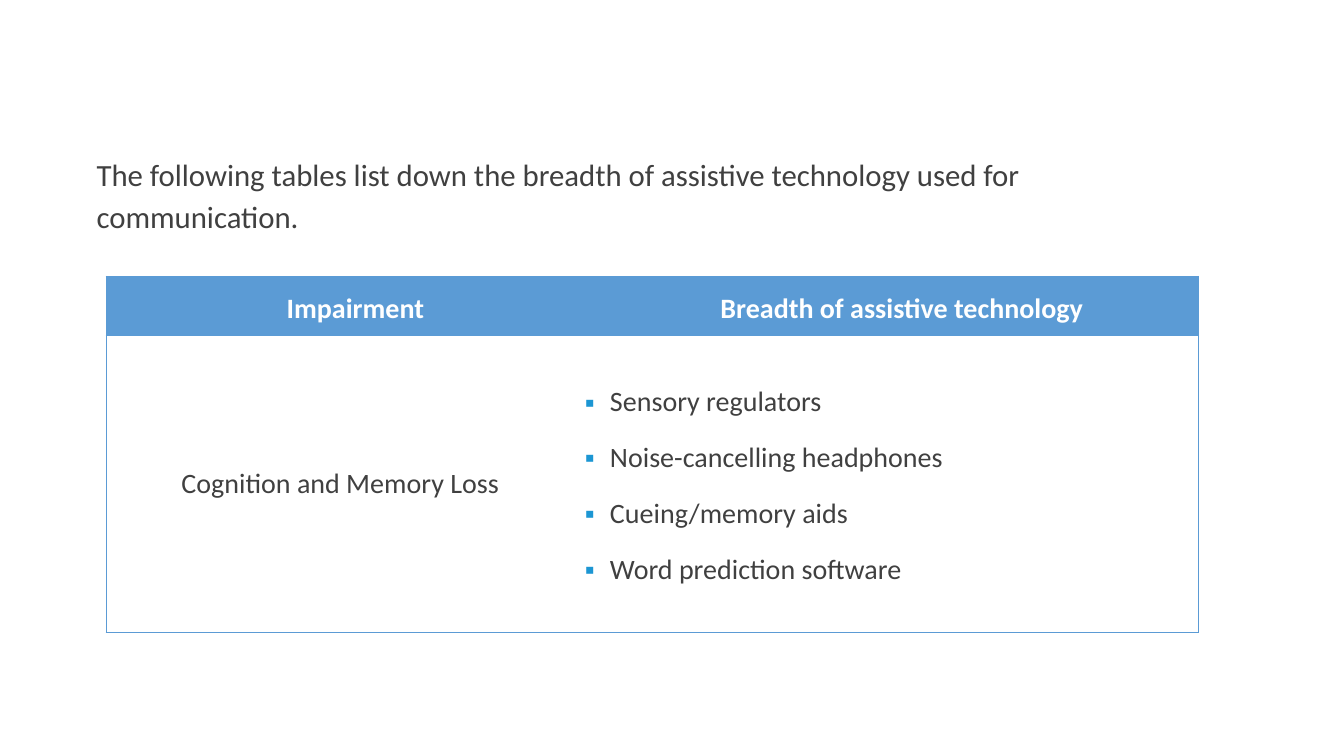
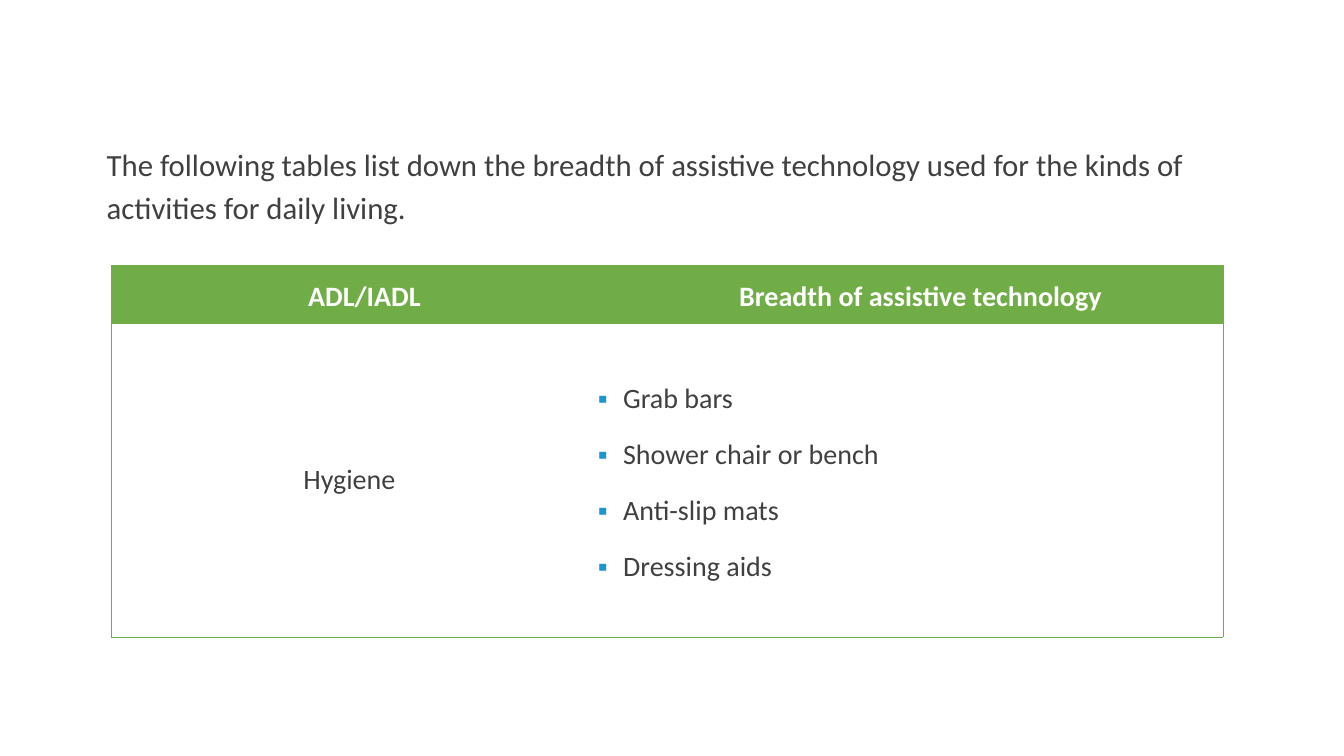
from lxml.etree import SubElement
from pptx import Presentation
from pptx.dml.color import RGBColor
from pptx.enum.text import MSO_ANCHOR, PP_ALIGN
from pptx.oxml.ns import qn
from pptx.util import Emu, Pt

PX = 9144  # 100 px to the inch
FONT = "Calibri"
COLORS = {"text": "404040", "white": "FFFFFF", "bullet": "1C96D3",
          "blue": "5B9BD5", "green": "70AD47"}

SLIDES = [
    {
        "intro": "The following tables list down the breadth of assistive "
                 "technology used for communication.",
        "intro_at": (86, 144),
        "table_at": (105, 274),
        "columns": (465, 619),
        "rows": (59, 294),
        "accent": "blue",
        "headers": ("Impairment", "Breadth of assistive technology"),
        "topic": "Cognition and Memory Loss",
        "aids": ("Sensory regulators", "Noise-cancelling headphones",
                 "Cueing/memory aids", "Word prediction software"),
    },
    {
        "intro": "The following tables list down the breadth of assistive "
                 "technology used for the kinds of activities for daily living.",
        "intro_at": (96, 135),
        "table_at": (110, 263),
        "columns": (473, 630),
        "rows": (58, 311),
        "accent": "green",
        "headers": ("ADL/IADL", "Breadth of assistive technology"),
        "topic": "Hygiene",
        "aids": ("Grab bars", "Shower chair or bench",
                 "Anti-slip mats", "Dressing aids"),
    },
]
INTRO_SIZE = (1103, 110)


def px(length):
    return Emu(length * PX)


def rgb(name):
    return RGBColor.from_string(COLORS[name])


def add_text(paragraph, text, size, color="text", bold=False):
    run = paragraph.add_run()
    run.text = text
    run.font.name = FONT
    run.font.size = Pt(size)
    run.font.bold = bold
    run.font.color.rgb = rgb(color)


def set_indent(paragraph, margin, first_line):
    properties = paragraph._p.get_or_add_pPr()
    properties.set("marL", str(px(margin)))
    properties.set("indent", str(px(first_line)))
    return properties


def add_bullet(paragraph):
    properties = set_indent(paragraph, 25, -25)
    color = SubElement(properties, qn("a:buClr"))
    SubElement(color, qn("a:srgbClr"), val=COLORS["bullet"])
    SubElement(properties, qn("a:buFont"), typeface="Arial")
    SubElement(properties, qn("a:buChar"), char="▪")


def set_borders(cell, colors):
    """Colour the left, right, top and bottom edges; None hides an edge."""
    properties = cell._tc.get_or_add_tcPr()
    for edge, color in zip("LRTB", colors):
        line = SubElement(properties, qn(f"a:ln{edge}"), w=str(Pt(0.5)))
        if color is None:
            SubElement(line, qn("a:noFill"))
        else:
            fill = SubElement(line, qn("a:solidFill"))
            SubElement(fill, qn("a:srgbClr"), val=COLORS[color])


def add_intro(slide, content):
    box = slide.shapes.add_textbox(*map(px, content["intro_at"] + INTRO_SIZE))
    box.text_frame.word_wrap = True
    paragraph = box.text_frame.paragraphs[0]
    paragraph.line_spacing = 1.14
    paragraph.space_after = Pt(6)
    add_text(paragraph, content["intro"], 22)


def fill_header(cell, text, accent):
    cell.margin_left = cell.margin_right = px(7)
    cell.margin_top = cell.margin_bottom = 0
    cell.fill.solid()
    cell.fill.fore_color.rgb = rgb(accent)
    paragraph = cell.text_frame.paragraphs[0]
    set_indent(paragraph, 55, -25)
    paragraph.alignment = PP_ALIGN.CENTER
    paragraph.line_spacing = 1.15
    paragraph.space_after = Pt(6)
    add_text(paragraph, text, 20, "white", bold=True)


def fill_topic(cell, text):
    paragraph = cell.text_frame.paragraphs[0]
    paragraph.alignment = PP_ALIGN.CENTER
    add_text(paragraph, text, 20)


def fill_aids(cell, aids):
    frame = cell.text_frame
    for index, aid in enumerate(aids):
        paragraph = frame.add_paragraph() if index else frame.paragraphs[0]
        add_bullet(paragraph)
        paragraph.line_spacing = 1.14
        paragraph.space_before = Pt(6 if index else 0)
        paragraph.space_after = Pt(6)
        add_text(paragraph, aid, 20)


def add_aid_table(slide, content):
    widths, heights, accent = content["columns"], content["rows"], content["accent"]
    size = (sum(widths), sum(heights))
    table = slide.shapes.add_table(
        len(heights), len(widths), *map(px, content["table_at"] + size)).table
    table.first_row = table.horz_banding = False
    for column, width in zip(table.columns, widths):
        column.width = px(width)
    for row, height in zip(table.rows, heights):
        row.height = px(height)

    # Outer frame and header rule, without a line between the columns
    for cell in table.iter_cells():
        cell.vertical_anchor = MSO_ANCHOR.MIDDLE
        cell.fill.background()
    for row in table.rows:
        left, right = row.cells
        set_borders(left, (accent, None, accent, accent))
        set_borders(right, (None, accent, accent, accent))
        for cell in (left, right):
            # Re-adding the fill keeps it after the borders
            properties = cell._tc.tcPr
            properties.append(properties.find(qn("a:noFill")))

    # Cell contents
    for index, header in enumerate(content["headers"]):
        fill_header(table.cell(0, index), header, accent)
    fill_topic(table.cell(1, 0), content["topic"])
    fill_aids(table.cell(1, 1), content["aids"])


def main():
    presentation = Presentation()
    presentation.slide_width, presentation.slide_height = px(1333), px(750)
    for content in SLIDES:
        slide = presentation.slides.add_slide(presentation.slide_layouts[6])
        add_intro(slide, content)
        add_aid_table(slide, content)
    presentation.save("out.pptx")


if __name__ == "__main__":
    main()
